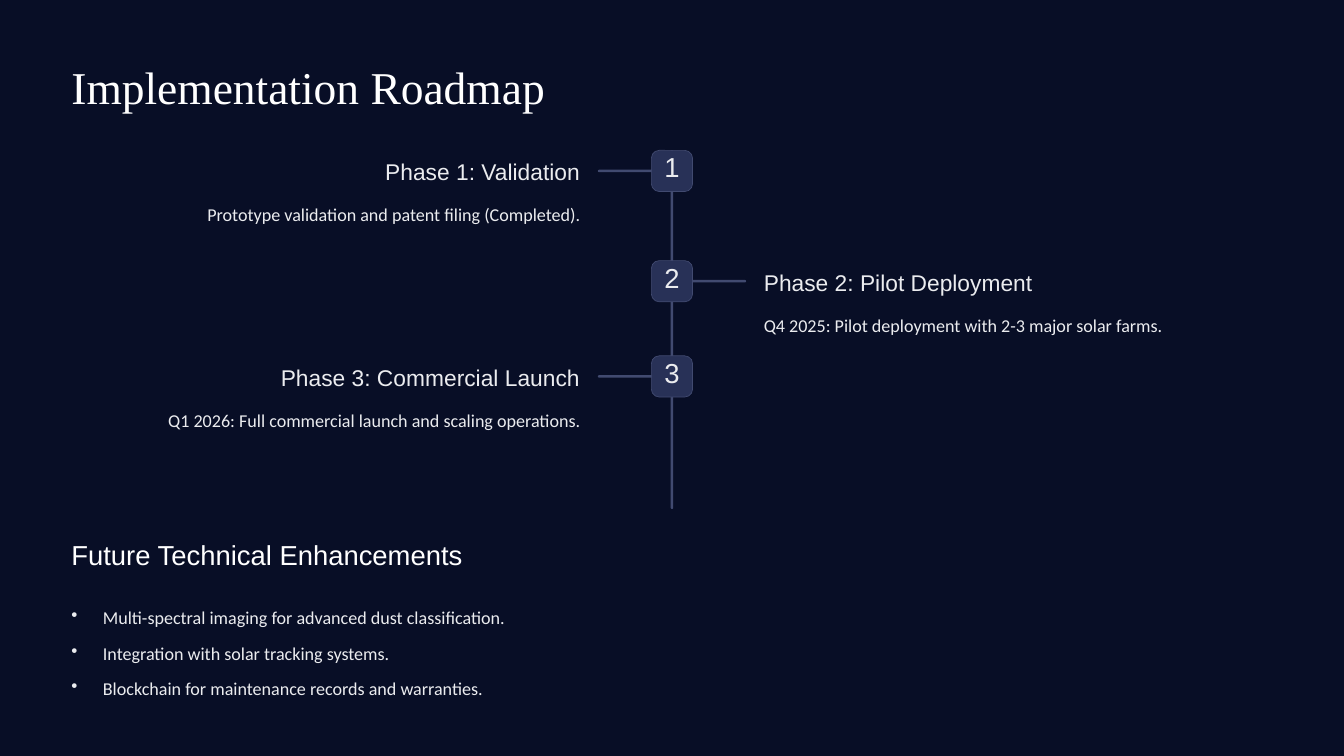
import dataclasses
import typing

import pptx
import pptx.dml.color
import pptx.enum.shapes
import pptx.enum.text
import pptx.oxml
import pptx.oxml.ns
import pptx.util

Pt = pptx.util.Pt
RGBColor = pptx.dml.color.RGBColor
Align = pptx.enum.text.PP_ALIGN

NAVY = RGBColor(0x08, 0x0E, 0x26)
WHITE = RGBColor(0xFF, 0xFF, 0xFF)
PALE = RGBColor(0xEB, 0xEC, 0xEF)
INDIGO = RGBColor(0x28, 0x31, 0x57)
SLATE = RGBColor(0x41, 0x4A, 0x70)

SLIDE_WIDTH, SLIDE_HEIGHT = 1152, 648
MARGIN = 61.2
AXIS = SLIDE_WIDTH / 2
BADGE_SIZE = 35.3
BAR_WIDTH = 2.1
BRANCH_LENGTH = 47.5
BRANCH_START = 16
TEXT_GAP = 78.7
TEXT_WIDTH = AXIS - TEXT_GAP - MARGIN
TIMELINE_TOP, TIMELINE_HEIGHT = 128.9, 307.4
BULLET_INDENT = 27


@dataclasses.dataclass(frozen=True)
class TextStyle:
    font_name: str
    size: float
    line_height: float
    color: RGBColor


@dataclasses.dataclass(frozen=True)
class Box:
    left: float
    top: float
    width: float
    height: float

    def lengths(self) -> list[int]:
        return [Pt(value) for value in dataclasses.astuple(self)]


@dataclasses.dataclass(frozen=True)
class Phase:
    top: float
    heading: str
    heading_width: float
    description: str
    on_left: bool


TITLE = TextStyle("Times New Roman", 39, 49, WHITE)
SECTION = TextStyle("Arial", 23.5, 29.5, WHITE)
NUMBER = TextStyle("Arial", 23.5, 23.5, PALE)
HEADING = TextStyle("Arial", 19.5, 24.5, PALE)
BODY = TextStyle("Calibri", 15.5, 25, PALE)

PHASES = [
    Phase(TIMELINE_TOP, "Phase 1: Validation", 196.6,
          "Prototype validation and patent filing (Completed).", True),
    Phase(223.4, "Phase 2: Pilot Deployment", 246.2,
          "Q4 2025: Pilot deployment with 2-3 major solar farms.", False),
    Phase(305, "Phase 3: Commercial Launch", 271.4,
          "Q1 2026: Full commercial launch and scaling operations.", True),
]
ENHANCEMENTS = [
    "Multi-spectral imaging for advanced dust classification.",
    "Integration with solar tracking systems.",
    "Blockchain for maintenance records and warranties.",
]


def set_attributes(target: typing.Any, values: dict[str, typing.Any]) -> None:
    for name, value in values.items():
        setattr(target, name, value)


def add_bullet(paragraph: typing.Any) -> None:
    properties = paragraph._p.get_or_add_pPr()
    properties.set("marL", str(Pt(BULLET_INDENT)))
    properties.set("indent", str(-Pt(BULLET_INDENT)))
    bullet = pptx.oxml.parse_xml(
        f'<a:buChar {pptx.oxml.ns.nsdecls("a")} char="•"/>')
    properties.append(bullet)


def write_text(shape: typing.Any, lines: list[str], style: TextStyle,
               alignment: Align = Align.LEFT, bulleted: bool = False,
               gap: float = 0, inset_top: float = 0) -> None:
    frame = shape.text_frame
    set_attributes(frame, {
        "margin_left": 0, "margin_right": 0, "margin_bottom": 0,
        "margin_top": Pt(inset_top), "word_wrap": False,
        "vertical_anchor": pptx.enum.text.MSO_ANCHOR.TOP,
    })
    for index, line in enumerate(lines):
        paragraph = frame.add_paragraph() if index else frame.paragraphs[0]
        paragraph.text = line
        if bulleted:
            add_bullet(paragraph)
        set_attributes(paragraph, {
            "alignment": alignment,
            "line_spacing": Pt(style.line_height),
            "space_before": Pt(gap if index else 0),
        })
        set_attributes(paragraph.font,
                       {"name": style.font_name, "size": Pt(style.size)})
        paragraph.font.color.rgb = style.color


def add_text(slide: typing.Any, box: Box, lines: list[str], style: TextStyle,
             **options: typing.Any) -> None:
    write_text(slide.shapes.add_textbox(*box.lengths()), lines, style, **options)


def add_rounded(slide: typing.Any, box: Box, fill: RGBColor,
                rounding: float = 0.5) -> typing.Any:
    shape = slide.shapes.add_shape(
        pptx.enum.shapes.MSO_SHAPE.ROUNDED_RECTANGLE, *box.lengths())
    shape.adjustments[0] = rounding
    shape.shadow.inherit = False
    shape.fill.solid()
    shape.fill.fore_color.rgb = fill
    shape.line.fill.background()
    return shape


def add_phase(slide: typing.Any, number: int, phase: Phase) -> None:
    def beside_axis(distance: float, width: float) -> float:
        return AXIS - distance - width if phase.on_left else AXIS + distance

    middle = phase.top + BADGE_SIZE / 2
    add_rounded(slide, Box(beside_axis(BRANCH_START, BRANCH_LENGTH),
                           middle - BAR_WIDTH / 2, BRANCH_LENGTH, BAR_WIDTH), SLATE)

    badge = add_rounded(slide, Box(AXIS - BADGE_SIZE / 2, phase.top,
                                   BADGE_SIZE, BADGE_SIZE), INDIGO, 0.19)
    badge.line.color.rgb = SLATE
    badge.line.width = Pt(0.6)
    write_text(badge, [str(number)], NUMBER, Align.CENTER, inset_top=2.9)

    alignment = Align.RIGHT if phase.on_left else Align.LEFT
    add_text(slide, Box(beside_axis(TEXT_GAP, phase.heading_width), phase.top + 5.6,
                        phase.heading_width, 24.5),
             [phase.heading], HEADING, alignment=alignment)
    add_text(slide, Box(beside_axis(TEXT_GAP, TEXT_WIDTH), phase.top + 39.4,
                        TEXT_WIDTH, 25),
             [phase.description], BODY, alignment=alignment)


def main() -> None:
    presentation = pptx.Presentation()
    set_attributes(presentation, {"slide_width": Pt(SLIDE_WIDTH),
                                  "slide_height": Pt(SLIDE_HEIGHT)})
    slide = presentation.slides.add_slide(presentation.slide_layouts[6])
    slide.background.fill.solid()
    slide.background.fill.fore_color.rgb = NAVY

    add_text(slide, Box(MARGIN, 48.2, 494.6, 49), ["Implementation Roadmap"], TITLE)
    add_rounded(slide, Box(AXIS - BAR_WIDTH / 2, TIMELINE_TOP,
                           BAR_WIDTH, TIMELINE_HEIGHT), SLATE)
    for number, phase in enumerate(PHASES, start=1):
        add_phase(slide, number, phase)
    add_text(slide, Box(MARGIN, 460.1, 362.9, 29.5),
             ["Future Technical Enhancements"], SECTION)
    add_text(slide, Box(MARGIN, 513.2, SLIDE_WIDTH - 2 * MARGIN, 86.2),
             ENHANCEMENTS, BODY, bulleted=True, gap=5.6)
    presentation.save("out.pptx")


if __name__ == "__main__":
    main()
